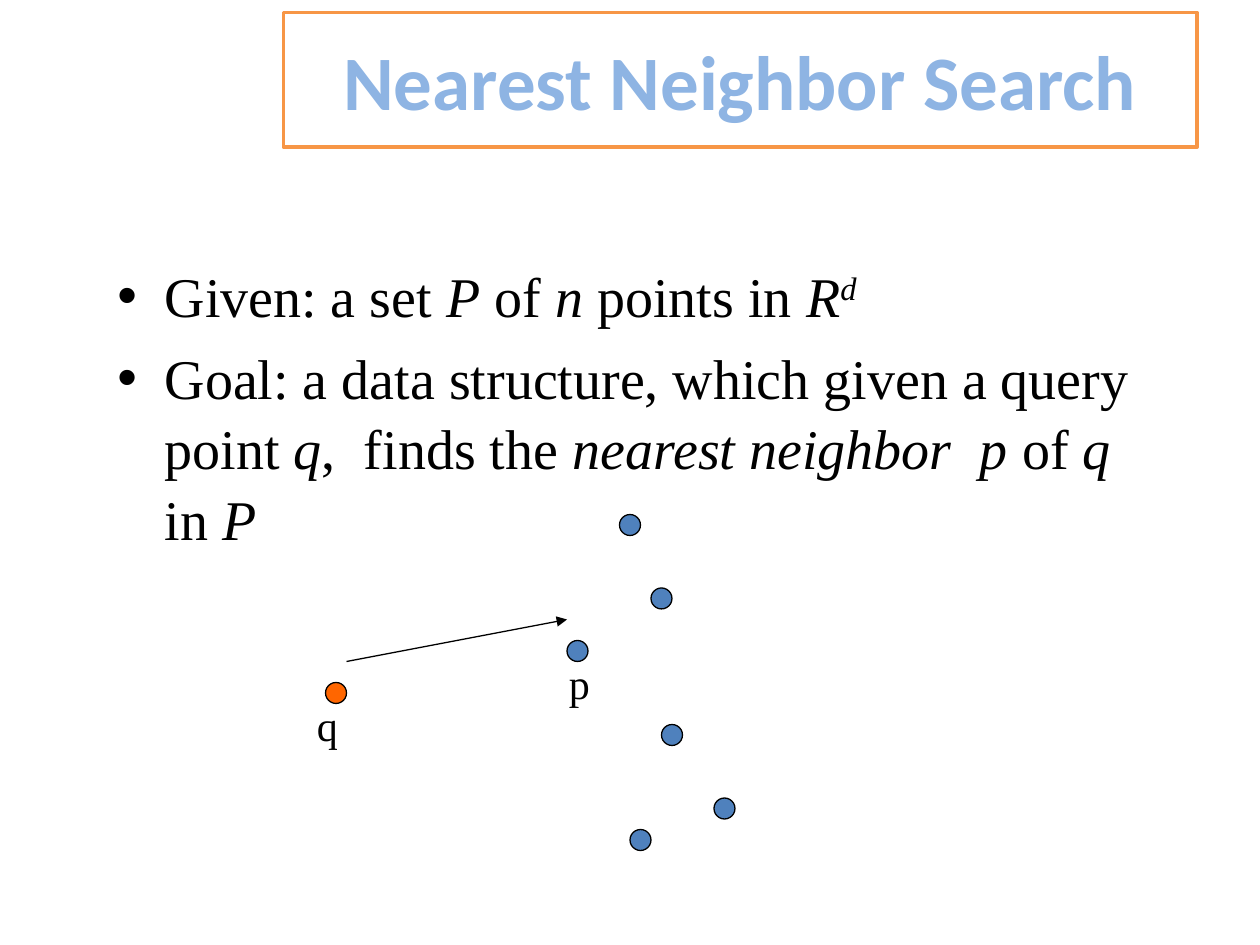
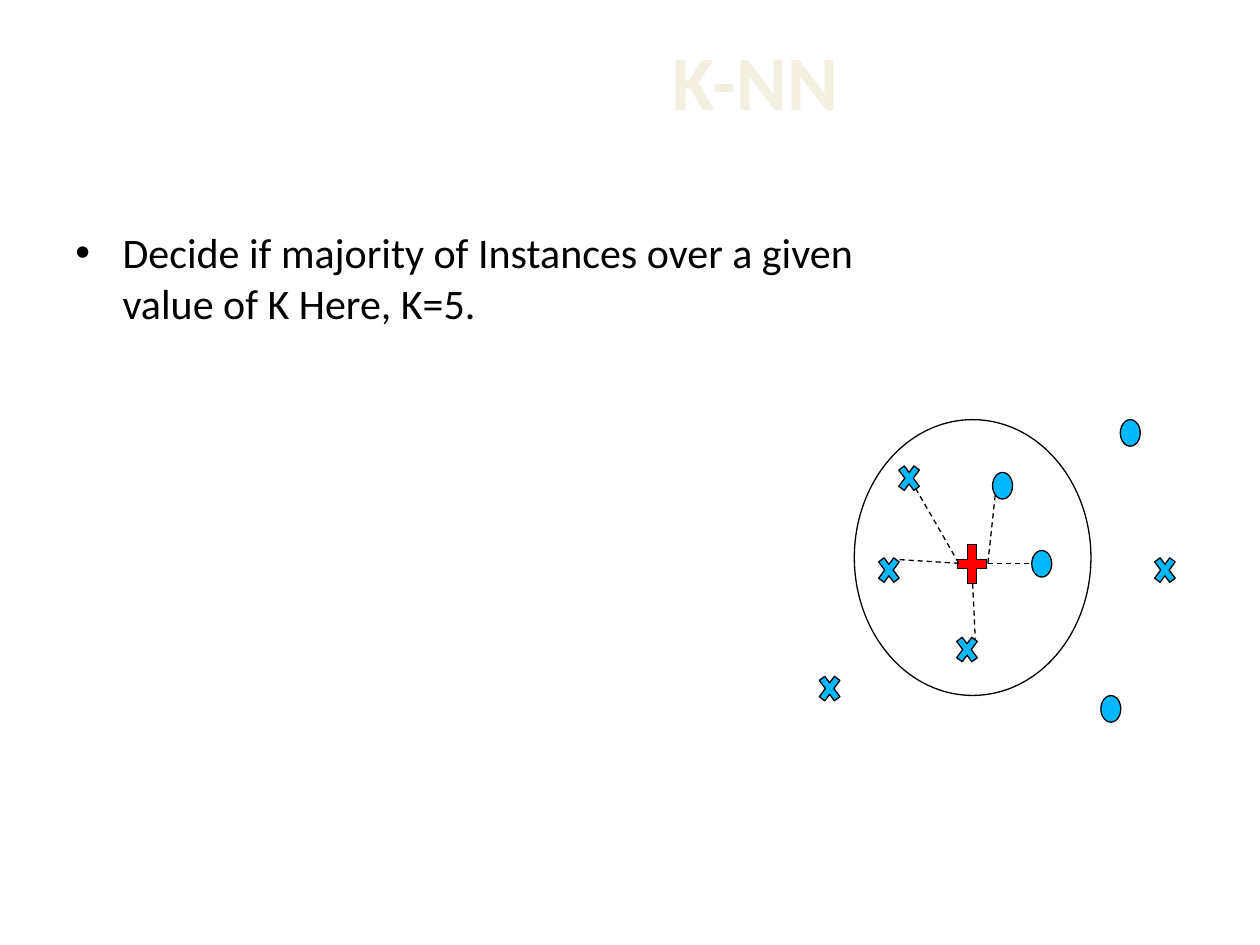
from lxml import etree
from pptx import Presentation
from pptx.dml.color import RGBColor
from pptx.enum import dml, shapes, text
from pptx.oxml.ns import qn
from pptx.util import Pt

BLACK = RGBColor(0x00, 0x00, 0x00)
WHITE = RGBColor(0xFF, 0xFF, 0xFF)
TITLE_BLUE = RGBColor(0x8E, 0xB4, 0xE3)
TITLE_CREAM = RGBColor(0xF3, 0xEF, 0xE1)
FRAME_ORANGE = RGBColor(0xF7, 0x96, 0x46)
QUERY_ORANGE = RGBColor(0xFF, 0x66, 0x00)
POINT_BLUE = RGBColor(0x4F, 0x81, 0xBD)
SKY = RGBColor(0x00, 0xB8, 0xFF)
RED = RGBColor(0xFF, 0x00, 0x00)

SERIF = "Times New Roman"
SANS = "Calibri"
SHAPE = shapes.MSO_SHAPE


class SlideWriter:
    """Holds the deck, the current page and the shared style; lengths are points."""

    thin = 0.75
    title_size = 44
    bullet_indent = 27

    def __init__(self):
        self.deck = Presentation()
        self.deck.slide_width, self.deck.slide_height = Pt(720), Pt(540)
        self.page = None

    def new_page(self):
        self.page = self.deck.slides.add_slide(self.deck.slide_layouts[6])

    def style(self, span, font, size, color=BLACK, bold=False):
        span.font.name, span.font.size, span.font.bold = font, Pt(size), bold
        span.font.color.rgb = color

    def shape(self, kind, left, top, width, height, fill=None, line=BLACK, weight=thin):
        shape = self.page.shapes.add_shape(kind, Pt(left), Pt(top), Pt(width), Pt(height))
        shape.shadow.inherit = False
        if fill is None:
            shape.fill.background()
        else:
            shape.fill.solid()
            shape.fill.fore_color.rgb = fill
        if line is None:
            shape.line.fill.background()
        else:
            shape.line.color.rgb = line
            shape.line.width = Pt(weight)
        return shape

    def title(self, words, left, color, fill=None, line=None):
        box = self.shape(SHAPE.RECTANGLE, left, 7.2, 522, 77, fill, line, 2)
        frame = box.text_frame
        frame.text = words
        frame.vertical_anchor = text.MSO_ANCHOR.MIDDLE
        para = frame.paragraphs[0]
        para.alignment = text.PP_ALIGN.CENTER
        self.style(para.runs[0], SANS, self.title_size, color, bold=True)

    def text_box(self, left, top, width, height, wrap=True):
        box = self.page.shapes.add_textbox(Pt(left), Pt(top), Pt(width), Pt(height))
        box.text_frame.word_wrap = wrap
        return box.text_frame

    def label(self, words, left, top):
        frame = self.text_box(left, top, 26.6, 36, wrap=False)
        frame.text = words
        self.style(frame.paragraphs[0].runs[0], SERIF, 24)

    def bullet(self, para, size, spacing=1.0):
        para.space_before = Pt(size * 0.2)
        para.line_spacing = spacing
        props = para._p.get_or_add_pPr()
        props.set("marL", str(Pt(self.bullet_indent)))
        props.set("indent", str(-Pt(self.bullet_indent)))
        etree.SubElement(props, qn("a:buFont")).set("typeface", "Arial")
        etree.SubElement(props, qn("a:buChar")).set("char", "•")

    def mixed_bullet(self, para, pieces, size):
        """Write pieces as upright and italic text in turn; a leading ^ raises one."""
        for index, piece in enumerate(pieces):
            span = para.add_run()
            span.text = piece.lstrip("^")
            self.style(span, SERIF, size)
            span.font.italic = index % 2 == 1 or piece.startswith("^")
            if piece.startswith("^"):
                span._r.get_or_add_rPr().set("baseline", "30000")
        self.bullet(para, size, 1.05)

    def line(self, start, end, dashed=False, arrow=False):
        line = self.page.shapes.add_connector(
            shapes.MSO_CONNECTOR.STRAIGHT, *(Pt(value) for value in (*start, *end)))
        line.line.color.rgb = BLACK
        line.line.width = Pt(self.thin)
        if dashed:
            line.line.dash_style = dml.MSO_LINE.DASH
        if arrow:
            stroke = line.line._get_or_add_ln()
            etree.SubElement(stroke, qn("a:tailEnd")).set("type", "triangle")
        etree.SubElement(line._element.spPr, qn("a:effectLst"))


def nearest_neighbor_page(writer):
    writer.new_page()
    frame = writer.text_box(60, 144, 606, 174)
    writer.mixed_bullet(
        frame.paragraphs[0],
        ["Given: a set ", "P", " of ", "n", " points in ", "R", "^d"], 32)
    writer.mixed_bullet(
        frame.add_paragraph(),
        ["Goal: a data structure, which given a query point ", "q", ",  finds the ",
         "nearest neighbor  p", " of ", "q", " in ", "P"], 32)
    writer.title("Nearest Neighbor Search", 162, TITLE_BLUE, WHITE, FRAME_ORANGE)

    query = (186, 390)
    points = [(372, 336), (324, 366), (354, 294), (378, 414), (408, 456), (360, 474)]
    for left, top in [query, *points]:
        color = QUERY_ORANGE if (left, top) == query else POINT_BLUE
        writer.shape(SHAPE.FLOWCHART_CONNECTOR, left, top, 12, 12, color)
    writer.label("q", 174, 396)
    writer.label("p", 318, 372)
    writer.line((198, 378), (324, 354), arrow=True)


def knn_page(writer):
    writer.new_page()
    writer.title("K-NN", 170.5, TITLE_CREAM)
    frame = writer.text_box(36, 126, 648, 356)
    para = frame.paragraphs[0]
    para.text = "Decide if majority of Instances over a given\vvalue of K Here, K=5."
    for span in para.runs:
        writer.style(span, SANS, 24)
    writer.bullet(para, 24)

    crosses = [(657.4, 314.6), (511.2, 262.1), (499.7, 314.6), (465.8, 382.3), (544.3, 360)]
    for left, top in crosses:
        writer.shape(SHAPE.MATH_MULTIPLY, left, top, 16.6, 22.4, SKY)
    writer.shape(SHAPE.MATH_PLUS, 544.3, 307.4, 22.4, 30, RED)
    for left, top in [(589.6, 314.6), (567.2, 270), (629.1, 397.5), (640.2, 239.8)]:
        writer.shape(SHAPE.OVAL, left, top, 11.4, 15.2, SKY)
    writer.shape(SHAPE.OVAL, 488.2, 239.8, 135.2, 157.6)

    west, south, east = (547.9, 321.9), (555.8, 333.4), (564.5, 321.9)
    spokes = [(west, (523.4, 279.4)), (west, (512.6, 319.7)), (south, (557.3, 365)),
              (east, (589.7, 321.9)), (east, (568.8, 282.2))]
    for start, end in spokes:
        writer.line(start, end, dashed=True)


def main():
    writer = SlideWriter()
    nearest_neighbor_page(writer)
    knn_page(writer)
    writer.deck.save("out.pptx")


if __name__ == "__main__":
    main()
